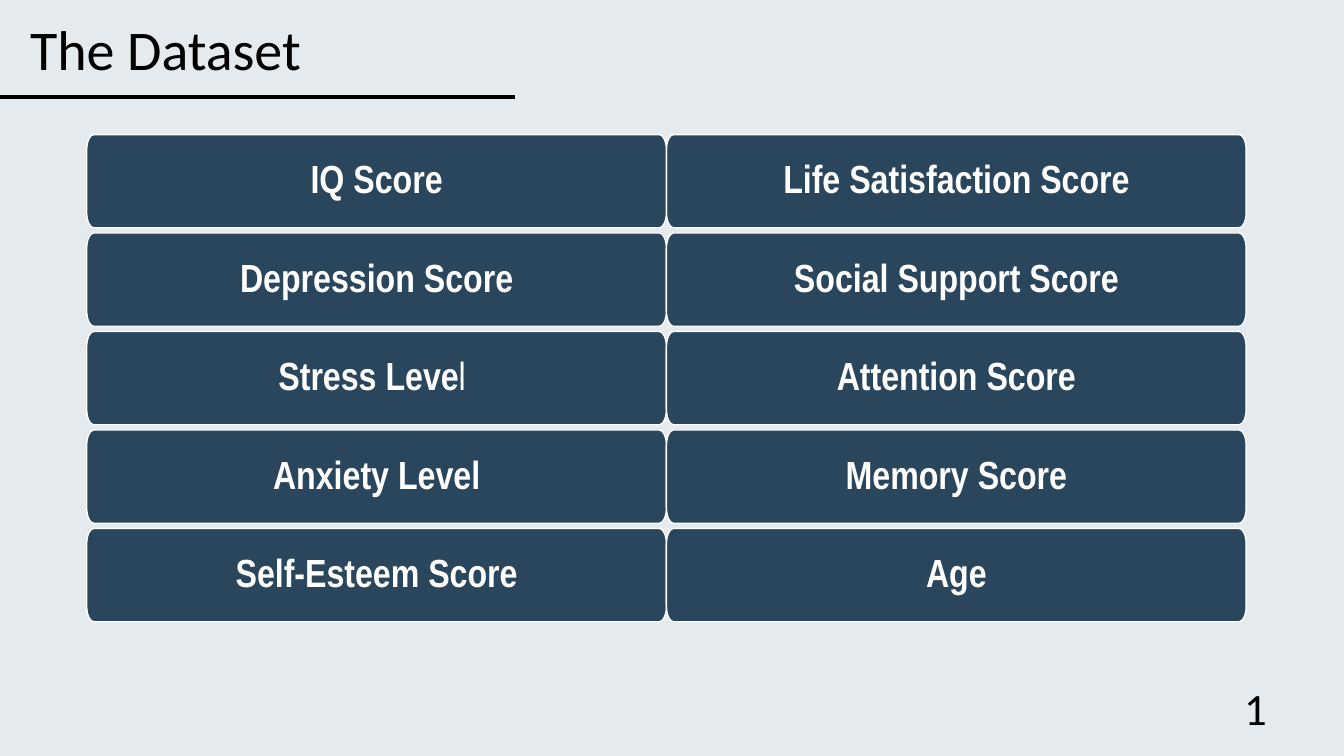
from dataclasses import dataclass

from lxml import etree
from pptx import Presentation
from pptx import util as u
from pptx.dml.color import RGBColor
from pptx.enum import shapes, text
from pptx.oxml.ns import qn
from pptx.shapes.autoshape import Shape
from pptx.slide import Slide

COLORS = {"back": "E4EAED", "card": "2A465C", "edge": "FFFFFF", "ink": "000000"}
COLUMNS = [
    ["IQ Score", "Depression Score", "Stress Level ", "Anxiety Level", "Self-Esteem Score"],
    ["Life Satisfaction Score", "Social Support Score", "Attention Score", "Memory Score", "Age"],
]
LIGHT = "l "  # ending set in regular weight
LEFT, TOP = 0.86, 1.335
WIDTH, HEIGHT = 5.75, 0.925
PITCH = 0.977
ROUND_X, ROUND_Y = 0.07, 0.155
BEND = 0.55  # how far curve handles reach toward the corner


@dataclass
class Card:
    label: str
    left: float
    top: float


@dataclass
class Label:
    words: str
    left: float
    top: float
    width: float
    height: float
    size: int


TITLE = Label("The Dataset", 0.2, 0.09, 2.96, 0.77, 40)
NUMBER = Label("1", 12.24, 6.7, 0.96, 0.64, 32)


def color(name: str) -> RGBColor:
    return RGBColor.from_string(COLORS[name])


def bend(shape: Shape) -> None:
    """Turn the four cut corners of an octagon into curves."""
    path = shape._element.find(".//" + qn("a:path"))
    wide, high = int(path.get("w")), int(path.get("h"))
    corners = [(0, 0), (wide, 0), (wide, high), (0, high)]
    steps = [step for step in path if step.tag != qn("a:close")]
    spots = [(int(step[0].get("x")), int(step[0].get("y"))) for step in steps]
    for turn, corner in enumerate(corners):
        start, end = spots[2 * turn:2 * turn + 2]
        curve = etree.Element(qn("a:cubicBezTo"))
        handles = [tuple(round(a + BEND * (c - a)) for a, c in zip(spot, corner))
                   for spot in (start, end)]
        for x, y in [*handles, end]:
            etree.SubElement(curve, qn("a:pt"), x=str(x), y=str(y))
        path.replace(steps[2 * turn + 1], curve)


def add_form(slide: Slide, card: Card) -> Shape:
    left, right = card.left, card.left + WIDTH
    top, base = card.top, card.top + HEIGHT
    near_x, far_x = left + ROUND_X, right - ROUND_X
    near_y, far_y = top + ROUND_Y, base - ROUND_Y
    spots = [(left, near_y), (near_x, top), (far_x, top), (right, near_y),
             (right, far_y), (far_x, base), (near_x, base), (left, far_y)]
    first, *rest = [(u.Inches(x), u.Inches(y)) for x, y in spots]
    form = slide.shapes.build_freeform(*first)
    form.add_line_segments(rest, close=True)
    shape = form.convert_to_shape()
    bend(shape)
    return shape


def add_card(slide: Slide, card: Card) -> None:
    shape = add_form(slide, card)
    shape.shadow.inherit = False
    shape.fill.solid()
    shape.fill.fore_color.rgb = color("card")
    shape.line.color.rgb = color("edge")
    shape.line.width = u.Pt(1)

    frame = shape.text_frame
    frame.word_wrap = True
    frame.vertical_anchor = text.MSO_ANCHOR.MIDDLE
    frame.margin_left = frame.margin_right = u.Inches(0.07)
    frame.margin_top = frame.margin_bottom = u.Inches(0.04)
    para = frame.paragraphs[0]
    para.alignment = text.PP_ALIGN.CENTER
    para.line_spacing = 0.9
    para.space_after = u.Pt(9.8)
    font = para.font
    font.name, font.size, font.bold = "Arial Narrow", u.Pt(28), True
    font.color.rgb = color("edge")
    para.add_run().text = card.label.removesuffix(LIGHT)
    if card.label.endswith(LIGHT):
        end = para.add_run()
        end.text = LIGHT
        end.font.bold = False


def add_label(slide: Slide, label: Label) -> None:
    box = slide.shapes.add_textbox(u.Inches(label.left), u.Inches(label.top),
                                   u.Inches(label.width), u.Inches(label.height))
    frame = box.text_frame
    frame.word_wrap = True
    frame.auto_size = text.MSO_AUTO_SIZE.SHAPE_TO_FIT_TEXT
    para = frame.paragraphs[0]
    para.text = label.words
    para.font.name, para.font.size = "Calibri", u.Pt(label.size)
    para.font.color.rgb = color("ink")


def add_rule(slide: Slide) -> None:
    """Line under the title."""
    y = u.Inches(0.96)
    rule = slide.shapes.add_connector(shapes.MSO_CONNECTOR.STRAIGHT,
                                      0, y, u.Inches(5.11), y)
    rule.line.color.rgb = color("ink")
    rule.line.width = u.Pt(3)
    etree.SubElement(rule._element.spPr, qn("a:effectLst"))


def main() -> None:
    deck = Presentation()
    deck.slide_width, deck.slide_height = u.Inches(13.33), u.Inches(7.5)
    slide = deck.slides.add_slide(deck.slide_layouts[6])
    slide.background.fill.solid()
    slide.background.fill.fore_color.rgb = color("back")
    lead, *cards = [Card(name, LEFT + col * WIDTH, TOP + row * PITCH)
                    for col, names in enumerate(COLUMNS)
                    for row, name in enumerate(names)]
    add_label(slide, TITLE)
    for card in cards:
        add_card(slide, card)
    add_rule(slide)
    add_card(slide, lead)
    add_label(slide, NUMBER)
    deck.save("out.pptx")


if __name__ == "__main__":
    main()
